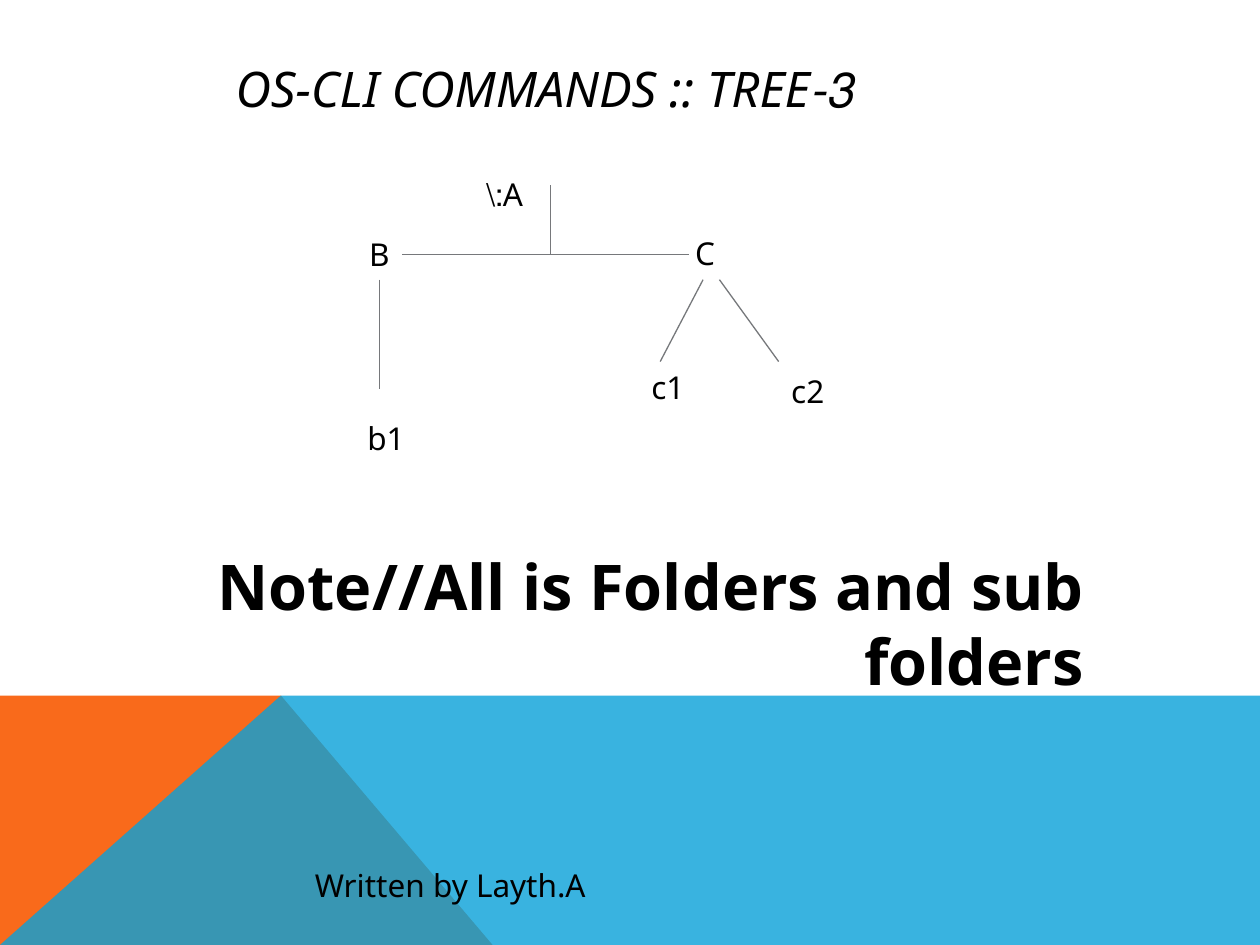
from dataclasses import dataclass

from lxml import etree
from pptx import Presentation
from pptx.dml.color import RGBColor
from pptx.enum.shapes import MSO_CONNECTOR
from pptx.enum.text import MSO_ANCHOR, PP_ALIGN
from pptx.oxml.ns import qn
from pptx.util import Inches, Pt

STRAIGHT = MSO_CONNECTOR.STRAIGHT
MIDDLE, TOP = MSO_ANCHOR.MIDDLE, MSO_ANCHOR.TOP
LEFT, CENTER, RIGHT = PP_ALIGN.LEFT, PP_ALIGN.CENTER, PP_ALIGN.RIGHT


@dataclass(frozen=True)
class Theme:
    font: str = "Noto Sans"
    text: str = "000000"
    line: str = "76787B"
    orange: str = "F96A1B"
    blue: str = "08A1D9"
    title_size: int = 28
    note_size: int = 36
    note_spacing: int = 43
    label_size: int = 18
    line_width: float = 0.75


THEME = Theme()


def write_text(shape, text, size=THEME.label_size, align=LEFT, anchor=TOP,
               rtl=True, bold=False, italic=False, spacing=None):
    frame = shape.text_frame
    frame.word_wrap = True
    frame.vertical_anchor = anchor
    para = frame.paragraphs[0]
    para.alignment = align
    if spacing:
        para.line_spacing = Pt(spacing)
    if rtl:
        para._p.get_or_add_pPr().set("rtl", "1")
    span = para.add_run()
    span.text = text
    font = span.font
    font.name, font.size = THEME.font, Pt(size)
    font.bold, font.italic = bold, italic
    font.color.rgb = RGBColor.from_string(THEME.text)


def add_label(shapes, text, left, top, width, height=0.4, **style):
    box = shapes.add_textbox(Inches(left), Inches(top), Inches(width), Inches(height))
    write_text(box, text, **style)


def add_branch(shapes, x1, y1, x2, y2):
    branch = shapes.add_connector(STRAIGHT, Inches(x1), Inches(y1), Inches(x2), Inches(y2))
    branch.line.color.rgb = RGBColor.from_string(THEME.line)
    branch.line.width = Pt(THEME.line_width)
    etree.SubElement(branch._element.spPr, qn("a:effectLst"))


def add_wedge(page, points, color, opacity=100):
    corners = [(Inches(x), Inches(y)) for x, y in points]
    builder = page.shapes.build_freeform(*corners[0])
    builder.add_line_segments(corners[1:], close=True)
    wedge = builder.convert_to_shape()
    wedge.shadow.inherit = False
    wedge.fill.solid()
    wedge.fill.fore_color.rgb = RGBColor.from_string(color)
    wedge.line.fill.background()
    if opacity < 100:
        tint = wedge._element.spPr.find(qn("a:solidFill"))[0]
        etree.SubElement(tint, qn("a:alpha")).set("val", str(opacity * 1000))


def add_footer_band(page, left, top, width, height):
    right, bottom = left + width, top + height
    peak = left + 2.23
    add_wedge(page, [(left, bottom), (left, top), (peak, top), (left + 3.91, bottom)],
              THEME.orange)
    add_wedge(page, [(left, bottom), (peak, top), (right, top), (right, bottom)],
              THEME.blue, opacity=80)


def add_title(page, text, left, top, width, height):
    title = page.shapes.title
    title.left, title.top = Inches(left), Inches(top)
    title.width, title.height = Inches(width), Inches(height)
    write_text(title, text, THEME.title_size, anchor=MIDDLE, italic=True)


def add_folder_tree(page, left, top):
    # Root label
    add_label(page.shapes, "A:\\", left + 0.75, top, 0.94, align=RIGHT)
    shapes = page.shapes.add_group_shape().shapes
    # Branches, as offsets from the tree corner
    branches = [
        (1.81, 0.13, 1.81, 0.68),
        (1.81, 0.68, 2.91, 0.68),
        (1.81, 0.68, 0.63, 0.68),
        (0.45, 0.88, 0.45, 1.75),
        (3.02, 0.88, 2.68, 1.53),
        (3.15, 0.88, 3.62, 1.53),
    ]
    for x1, y1, x2, y2 in branches:
        add_branch(shapes, left + x1, top + y1, left + x2, top + y2)
    # Folder names
    folders = [
        ("B", 0, 0.48, 0.63, RIGHT),
        ("C", 2.68, 0.47, 0.71, CENTER),
        ("b1", 0, 1.94, 0.75, RIGHT),
        ("c1", 2.26, 1.53, 0.71, RIGHT),
        ("c2", 3.53, 1.56, 0.55, RIGHT),
    ]
    for name, x, y, width, align in folders:
        add_label(shapes, name, left + x, top + y, width, align=align)


deck = Presentation()
deck.slide_width, deck.slide_height = Inches(10), Inches(7.5)
page = deck.slides.add_slide(deck.slide_layouts[5])

add_footer_band(page, 0, 5.52, 10, 1.98)
add_title(page, "3-OS-CLI COMMANDS :: TREE", 1.77, 0.4, 8.23, 0.6)
add_folder_tree(page, 2.56, 1.34)

# Note and author
add_label(page.shapes, "Note//All is Folders and sub folders", 0.25, 4.3, 8.45, 1.01,
          size=THEME.note_size, align=RIGHT, bold=True, spacing=THEME.note_spacing)
add_label(page.shapes, "Written by Layth.A", 2.4, 6.82, 2.83, 0.71, rtl=False)

deck.save("out.pptx")
